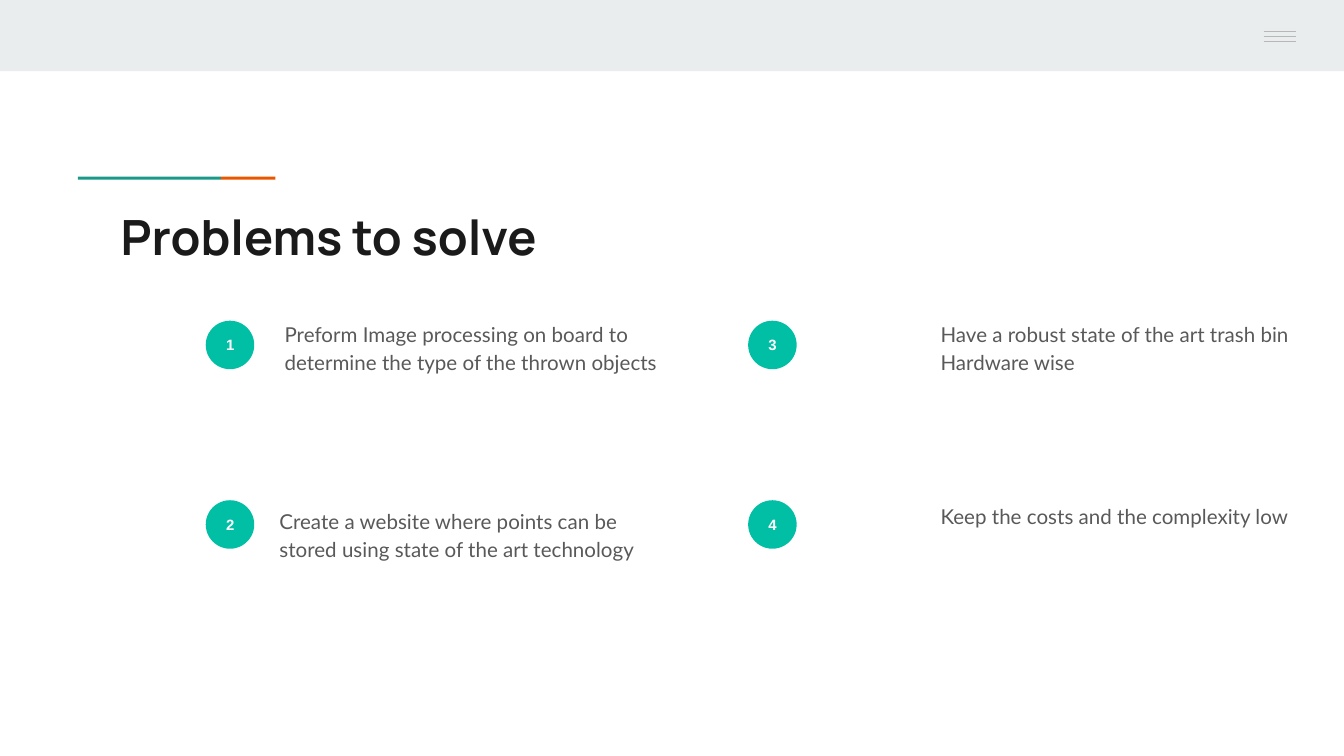
from lxml import etree
from pptx import Presentation
from pptx.dml.color import RGBColor
from pptx.enum.shapes import MSO_CONNECTOR, MSO_SHAPE
from pptx.enum.text import MSO_ANCHOR, PP_ALIGN
from pptx.oxml.ns import qn
from pptx.util import Pt

COLORS = {
    "band": "E9EDEE",
    "teal": "1A9988",
    "orange": "EB5600",
    "menu": "B7B7B7",
    "title": "1A1A1A",
    "body": "595959",
    "badge": "00BFA5",
    "white": "FFFFFF",
}


def color(name):
    return RGBColor.from_string(COLORS[name])


class Deck:
    """Holds the slide and draws styled elements, all lengths in points."""

    inset = 7.2

    def __init__(self, width, height):
        self.prs = Presentation()
        self.prs.slide_width, self.prs.slide_height = Pt(width), Pt(height)
        self.slide = self.prs.slides.add_slide(self.prs.slide_layouts[6])
        self.shapes = self.slide.shapes

    def shape(self, kind, x, y, w, h, fill):
        item = self.shapes.add_shape(kind, Pt(x), Pt(y), Pt(w), Pt(h))
        item.shadow.inherit = False
        item.fill.solid()
        item.fill.fore_color.rgb = color(fill)
        item.line.fill.background()
        return item

    def bar(self, x, y, w, h, fill):
        return self.shape(MSO_SHAPE.RECTANGLE, x, y, w, h, fill)

    def rule(self, x, y, w):
        line = self.shapes.add_connector(
            MSO_CONNECTOR.STRAIGHT, Pt(x), Pt(y), Pt(x + w), Pt(y))
        line.line.color.rgb = color("menu")
        line.line.width = Pt(0.75)
        etree.SubElement(line._element.spPr, qn("a:effectLst"))

    def label(self, item, text, size, font, tint, bold=False):
        """Put one styled paragraph in a shape and return the paragraph."""
        frame = item.text_frame
        frame.word_wrap = True
        frame.margin_left = frame.margin_right = Pt(self.inset)
        frame.margin_top = frame.margin_bottom = Pt(self.inset)
        frame.text = text
        para = frame.paragraphs[0]
        style = para.runs[0].font
        style.size, style.name, style.bold = Pt(size), font, bold
        style.color.rgb = color(tint)
        return para

    def box(self, x, y, w, h):
        return self.shapes.add_textbox(Pt(x), Pt(y), Pt(w), Pt(h))

    def title(self, text, x, y, w, h):
        self.label(self.box(x, y, w, h), text, 26, "Manrope", "title", True)

    def body(self, text, x, y):
        box = self.box(x, y, 223.2, 82.8)
        para = self.label(box, text, 11, "Lato", "body")
        para.line_spacing = 1.15
        para.space_after = Pt(16)

    def badge(self, number, x, y):
        disc = self.shape(MSO_SHAPE.OVAL, x, y, 26, 26, "badge")
        para = self.label(disc, str(number), 8, "Arial", "white", True)
        para.alignment = PP_ALIGN.CENTER
        disc.text_frame.vertical_anchor = MSO_ANCHOR.MIDDLE


def main():
    deck = Deck(720, 405)
    deck.bar(0, 0, 720, 38.2, "band")
    deck.bar(41.8, 94.7, 76.6, 1.6, "teal")
    deck.bar(118.4, 94.7, 29.2, 1.6, "orange")
    for step in range(3):
        deck.rule(677, 16.9 + 2.65 * step, 17.3)

    deck.title("Problems to solve", 57.6, 103.7, 605.5, 42.5)
    problems = [
        ("Preform Image processing on board to determine the type "
         "of the thrown objects", 145.4, 163.4),
        ("Create a website where points can be stored using state "
         "of the art technology", 142.6, 263.5),
        ("Have a robust state of the art trash bin Hardware wise",
         496.8, 163.4),
        ("Keep the costs and the complexity low", 496.8, 260.6),
    ]
    for index, (text, x, y) in enumerate(problems):
        col, row = divmod(index, 2)
        deck.body(text, x, y)
        deck.badge(index + 1, 110.2 + 290.6 * col, 171.8 + 96.2 * row)
    deck.prs.save("out.pptx")


if __name__ == "__main__":
    main()
